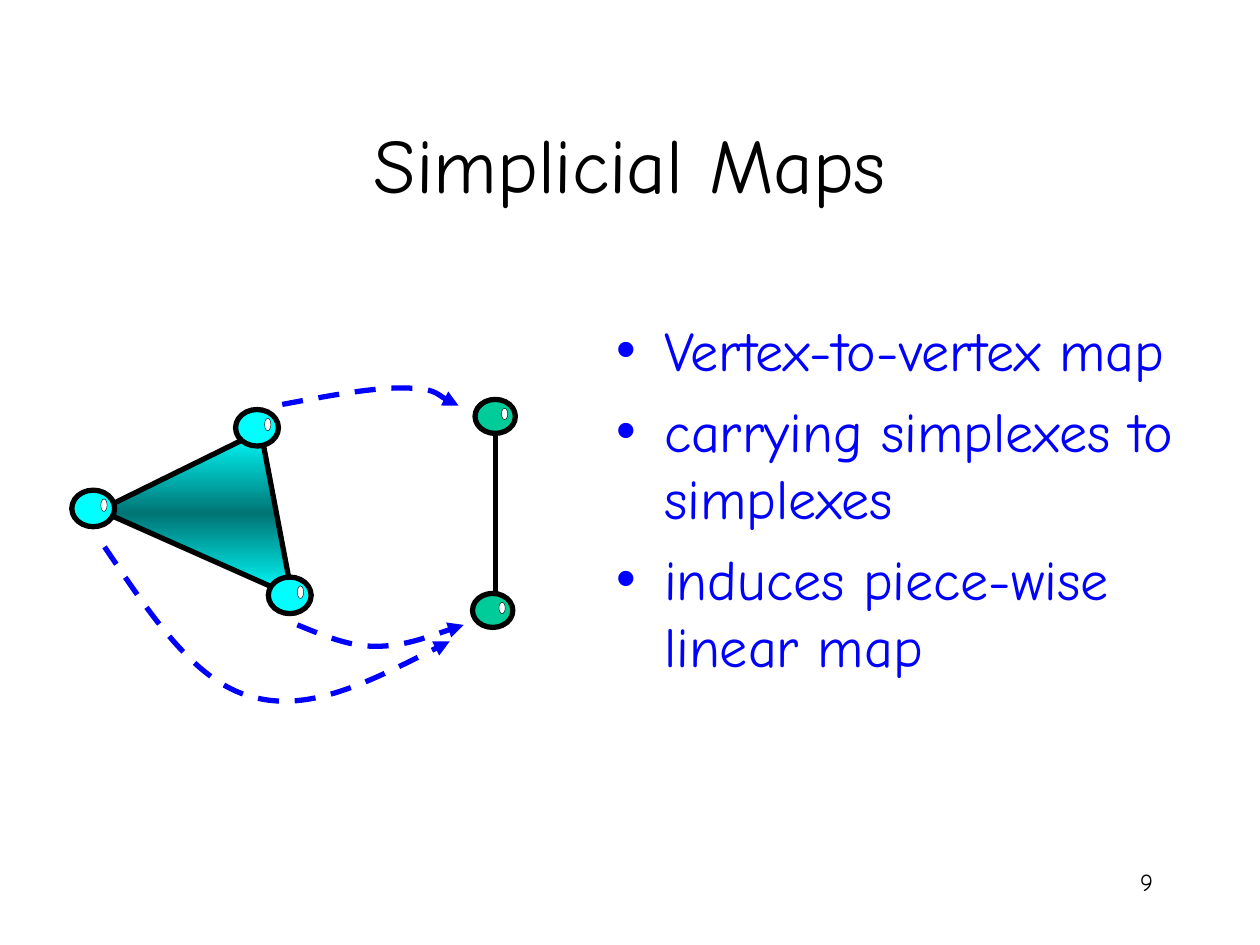
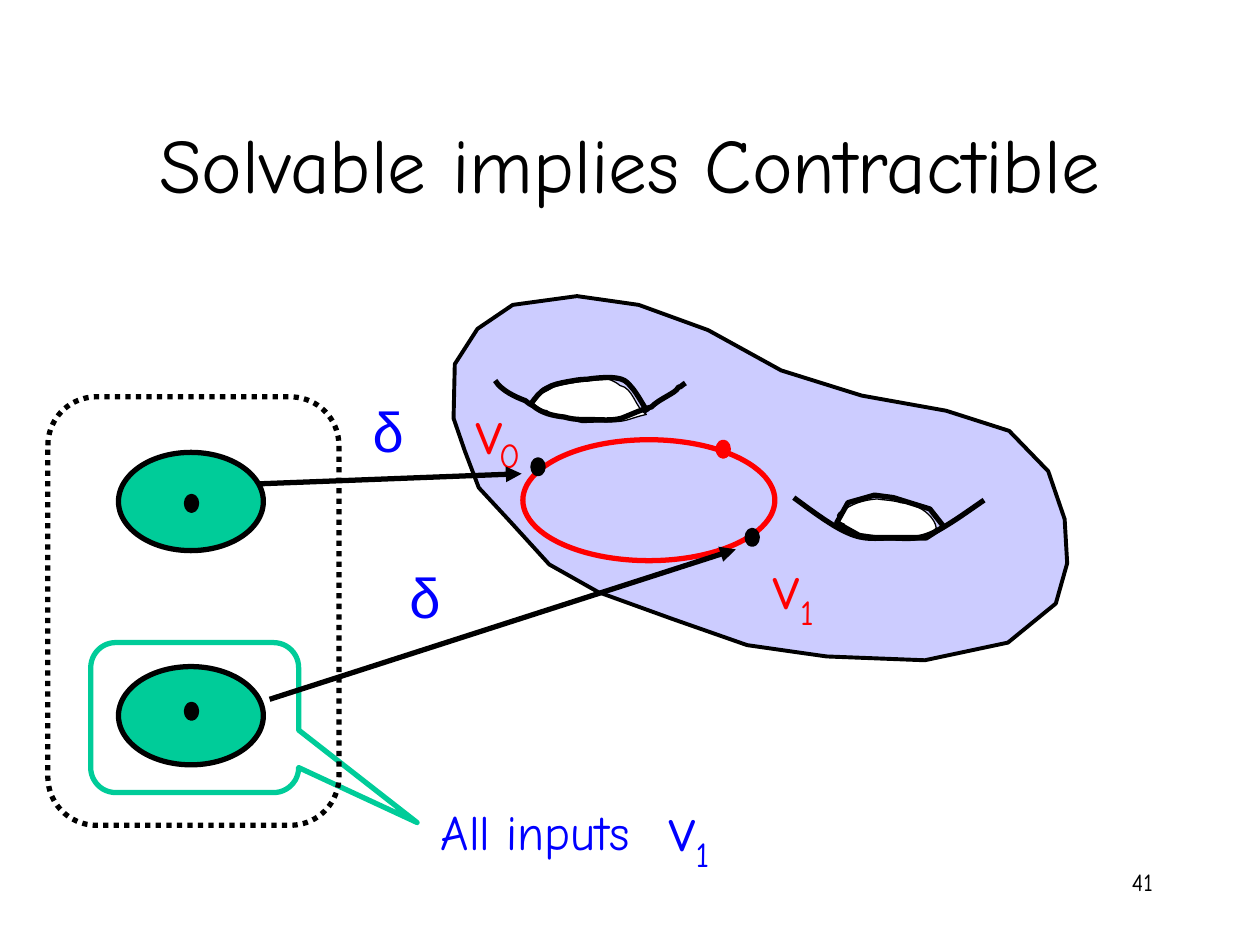
from copy import deepcopy

from lxml import etree
from pptx import Presentation
from pptx import util as u
from pptx.dml.color import RGBColor
from pptx.enum import dml, shapes, text
from pptx.oxml import ns

SCALE = 9144
FONT = "Comic Neue"
BLACK, WHITE, RED, BLUE = "000000", "FFFFFF", "FF0000", "0000FF"
CYAN, TEAL, GREEN, LILAC = "00FFFF", "007575", "00CC99", "CCCCFF"
CENTER, RIGHT = text.PP_ALIGN.CENTER, text.PP_ALIGN.RIGHT
OVAL = shapes.MSO_SHAPE.OVAL

SURFACE = [
    (361, 289), (360, 332), (369, 358), (380, 387), (405, 414), (436, 448),
    (475, 470), (533, 491), (593, 512), (656, 521), (734, 524), (800, 510),
    (838, 479), (847, 447), (845, 412), (832, 374), (801, 342), (751, 326),
    (684, 314), (620, 294), (562, 262), (507, 242), (458, 235), (407, 242),
    (379, 261),
]
RIGHT_HOLE = [
    (665, 413), (667, 414), (668, 416), (670, 416), (671, 420), (675, 422),
    (678, 422), (682, 425), (687, 425), (691, 425), (706, 425), (720, 425),
    (734, 425), (738, 425), (743, 419), (743, 419), (742, 411), (733, 404),
    (727, 402), (722, 399), (723, 400), (715, 399), (709, 397), (702, 397),
    (696, 396), (684, 397), (676, 400), (666, 407), (664, 410), (665, 408),
    (665, 413),
]
LEFT_HOLE = [
    (424, 321), (427, 323), (430, 326), (434, 326), (436, 328), (438, 329),
    (441, 329), (445, 331), (448, 332), (452, 332), (465, 337), (457, 335),
    (478, 335), (500, 335), (496, 333), (513, 329), (504, 324), (503, 308),
    (492, 306), (490, 304), (486, 302), (483, 301), (468, 302), (455, 303),
    (440, 307), (436, 309), (432, 312), (427, 313), (425, 314), (420, 319),
    (424, 321),
]
RIGHT_SMILE = [
    (630, 395), (645, 406), (661, 418), (673, 423), (686, 429), (696, 427),
    (706, 427), (717, 427), (726, 429), (738, 424), (750, 419), (765, 408),
    (781, 397),
]
LEFT_BROW = [
    (421, 321), (425, 316), (428, 311), (434, 308), (439, 305), (445, 304),
    (450, 303), (456, 302), (460, 301), (466, 301), (472, 300), (483, 299),
    (489, 300), (495, 301), (497, 302), (501, 307), (505, 311), (512, 324),
    (514, 327),
]
LEFT_SMILE = [
    (393, 302), (398, 310), (409, 315), (417, 318), (419, 320), (421, 321),
    (423, 322), (430, 328), (439, 330), (448, 331), (455, 333), (460, 333),
    (469, 333), (477, 333), (485, 334), (493, 332), (501, 329), (509, 325),
    (517, 323), (522, 318), (529, 315), (535, 311), (536, 310), (538, 309),
    (538, 308), (538, 307), (539, 307), (540, 307), (541, 306), (544, 304),
    (544, 304),
]
RIGHT_RIM = [
    (664, 415), (682, 425), (696, 427), (717, 427), (735, 427), (749, 418),
    (738, 404), (725, 400), (709, 395), (694, 393), (673, 399),
]
VERTEX_MAPS = [
    [(224, 321), (261, 314), (299, 307), (322, 308), (345, 308), (357, 320),
     (364, 322)],
    [(236, 496), (256, 504), (276, 513), (298, 513), (320, 513), (344, 504),
     (368, 496)],
    [(83, 434), (119, 487), (154, 541), (200, 553), (246, 566), (301, 537),
     (357, 509)],
]


def px(*lengths):
    """Turn px lengths into a list of EMU."""
    return [u.Emu(length * SCALE) for length in lengths]


def rgb(color):
    """Turn a hex string into a colour."""
    return RGBColor.from_string(color)


def outline(item, color, width, dash=None, arrow=False):
    """Style a line, optionally dashed and with an arrowhead."""
    item.line.color.rgb = rgb(color)
    item.line.width = u.Pt(width)
    if dash:
        item.line.dash_style = dash
    if arrow:
        stroke = item.element.spPr.find(ns.qn("a:ln"))
        etree.SubElement(stroke, ns.qn("a:tailEnd"), type="triangle")


def paint(item, fill, color, width, dash=None, arrow=False):
    """Give a shape its fill and line, without a shadow."""
    item.shadow.inherit = False
    if fill:
        item.fill.solid()
        item.fill.fore_color.rgb = rgb(fill)
    else:
        item.fill.background()
    outline(item, color, width, dash, arrow)
    return item


def preset(slide, kind, box, fill=None, color=BLACK, width=3, dash=None):
    """Add a preset shape."""
    return paint(slide.shapes.add_shape(kind, *px(*box)), fill, color, width, dash)


def outlined(slide, points, fill=None, color=BLACK, width=3, closed=True, **line):
    """Add a freeform through the points."""
    start, *rest = [px(*point) for point in points]
    builder = slide.shapes.build_freeform(*start)
    builder.add_line_segments(rest, close=closed)
    return paint(builder.convert_to_shape(), fill, color, width, **line)


def curved(slide, points, **style):
    """Add a freeform of cubic curves, given as a start and triples."""
    curve = outlined(slide, points, **style)
    steps = list(curve.element.spPr.iter(ns.qn("a:lnTo")))
    for first in range(0, len(steps), 3):
        cubic = etree.Element(ns.qn("a:cubicBezTo"))
        steps[first].addprevious(cubic)
        for step in steps[first:first + 3]:
            cubic.append(step[0])
            step.getparent().remove(step)


def segment(slide, start, end, arrow=False):
    """Add a straight black line."""
    edge = slide.shapes.add_connector(
        shapes.MSO_CONNECTOR.STRAIGHT, *px(*start, *end))
    outline(edge, BLACK, 3, arrow=arrow)
    etree.SubElement(edge.element.spPr, ns.qn("a:effectLst"))


def write(paragraph, words, size, color, font=FONT, align=None):
    """Add one formatted run to a paragraph."""
    paragraph.alignment = align
    run = paragraph.add_run()
    run.text = words
    run.font.size = u.Pt(size)
    run.font.name = font
    run.font.color.rgb = rgb(color)


def label(slide, box, words, size, color=BLUE, font=FONT, wrap=False):
    """Add a centred one-line label that fits its text."""
    frame = slide.shapes.add_textbox(*px(*box)).text_frame
    frame.word_wrap = wrap
    frame.auto_size = text.MSO_AUTO_SIZE.SHAPE_TO_FIT_TEXT
    frame.vertical_anchor = text.MSO_ANCHOR.MIDDLE
    write(frame.paragraphs[0], words, size, color, font, CENTER)


def page_number(slide, number):
    """Add the page number at the lower right."""
    frame = slide.shapes.add_textbox(*px(717, 683, 208, 50)).text_frame
    frame.word_wrap = True
    write(frame.paragraphs[0], number, 14, BLACK, align=RIGHT)


def place(holder, box):
    """Move a placeholder and return its text frame."""
    holder.left, holder.top, holder.width, holder.height = px(*box)
    holder.text_frame.auto_size = text.MSO_AUTO_SIZE.NONE
    return holder.text_frame


def new_slide(deck, layout, title):
    """Add a slide with its title."""
    slide = deck.slides.add_slide(deck.slide_layouts[layout])
    heading = place(slide.shapes.title, (75, 67, 850, 125))
    heading.vertical_anchor = text.MSO_ANCHOR.MIDDLE
    write(heading.paragraphs[0], title, 44, BLACK, align=CENTER)
    return slide


def bullets(slide, box, items):
    """Fill the body placeholder with a bulleted list."""
    body = slide.placeholders[1]
    frame = place(body, box)
    for index, item in enumerate(items):
        paragraph = frame.add_paragraph() if index else frame.paragraphs[0]
        paragraph.space_before = u.Pt(8)
        write(paragraph, item, 32, BLUE)
    indent, = px(38)
    for properties in body.element.iter(ns.qn("a:pPr")):
        properties.set("marL", str(indent))
        properties.set("indent", str(-indent))


def vertex(slide, left, top, width, height, fill):
    """Add a glossy vertex."""
    preset(slide, OVAL, (left, top, width, height), fill)
    shine = (left + width - 11, top + 7, 5, round(height / 3))
    preset(slide, OVAL, shine, WHITE, width=0.25)


def simplex(slide, corners):
    """Add the triangle with its three-stop gradient."""
    triangle = outlined(slide, corners, CYAN)
    triangle.fill.gradient()
    triangle.fill.gradient_angle = 90
    stops = triangle.element.spPr.find(".//" + ns.qn("a:gsLst"))
    stops.append(deepcopy(stops[0]))
    for stop, position, color in zip(
            triangle.fill.gradient_stops, (0, 0.5, 1), (CYAN, TEAL, CYAN)):
        stop.position = position
        stop.color.rgb = rgb(color)


def dot(slide, left, top, color=BLACK):
    """Add a small point."""
    preset(slide, OVAL, (left, top, 8, 11), color, color)


def indexed_v(slide, left, top, index, color, shift=21, drop=34):
    """Add the letter v with a lowered index."""
    label(slide, (left, top, 41, 70), "v", 36, color)
    label(slide, (left + shift, top + drop, 73 - 2 * shift, 44), index, 20, color)


def delta(slide, left, top):
    """Add the name of the decision map."""
    label(slide, (left, top, 42, 64), "δ", 32, font="Arial")


def input_complex(slide, top):
    """Add a green input oval."""
    preset(slide, OVAL, (94, top, 115, 78), GREEN)


def double_torus(slide):
    """Add the surface with its two holes."""
    outlined(slide, SURFACE, LILAC, width=2.25)
    for hole in (RIGHT_HOLE, LEFT_HOLE):
        curved(slide, hole, fill=WHITE, width=0.75)
    for crease in (RIGHT_SMILE, LEFT_BROW, LEFT_SMILE):
        curved(slide, crease, closed=False)
    outlined(slide, RIGHT_RIM)


def simplicial_maps(deck):
    """Build the slide on simplicial maps."""
    slide = new_slide(deck, 1, "Simplicial Maps")
    bullets(slide, (479, 245, 493, 381), [
        "Vertex-to-vertex map",
        "carrying simplexes to simplexes",
        "induces piece-wise linear map",
    ])
    simplex(slide, [(79, 405), (207, 342), (232, 473)])
    for left, top in ((57, 389), (187, 325), (213, 458)):
        vertex(slide, left, top, 34, 29, CYAN)
    segment(slide, (393, 494), (393, 334))
    for left, top in ((377, 317), (375, 471)):
        vertex(slide, left, top, 32, 27, GREEN)
    for vertex_map in VERTEX_MAPS:
        curved(slide, vertex_map, color=BLUE, closed=False,
               dash=dml.MSO_LINE.DASH, arrow=True)
    page_number(slide, "9")


def solvable_implies_contractible(deck):
    """Build the slide on contractibility."""
    slide = new_slide(deck, 5, "Solvable implies Contractible")
    double_torus(slide)
    preset(slide, OVAL, (415, 349, 200, 96), color=RED)
    dot(slide, 570, 351, RED)
    for left, top in ((593, 421), (423, 365)):
        dot(slide, left, top)
    indexed_v(slide, 368, 306, "0", RED, shift=18, drop=33)

    input_complex(slide, 529)
    segment(slide, (206, 384), (414, 376), arrow=True)
    callout = preset(slide, shapes.MSO_SHAPE.ROUNDED_RECTANGULAR_CALLOUT,
                     (72, 510, 165, 119), color=GREEN)
    for index, value in enumerate((1.07, 0.7, 1 / 6)):
        callout.adjustments[index] = value
    label(slide, (257, 631, 336, 57), "All inputs", 28, wrap=True)
    indexed_v(slide, 521, 621, "1", BLUE)
    delta(slide, 286, 309)

    inputs = preset(slide, shapes.MSO_SHAPE.ROUNDED_RECTANGLE,
                    (38, 315, 231, 340), dash=dml.MSO_LINE.ROUND_DOT)
    inputs.adjustments[0] = 1 / 6
    input_complex(slide, 359)
    for top in (394, 559):
        dot(slide, 148, top)
    segment(slide, (214, 555), (584, 436), arrow=True)
    delta(slide, 315, 441)
    indexed_v(slide, 604, 429, "1", RED)
    page_number(slide, "41")


def main():
    """Build and save the deck."""
    deck = Presentation()
    deck.slide_width, deck.slide_height = px(1000, 750)
    simplicial_maps(deck)
    solvable_implies_contractible(deck)
    deck.save("out.pptx")


if __name__ == "__main__":
    main()
